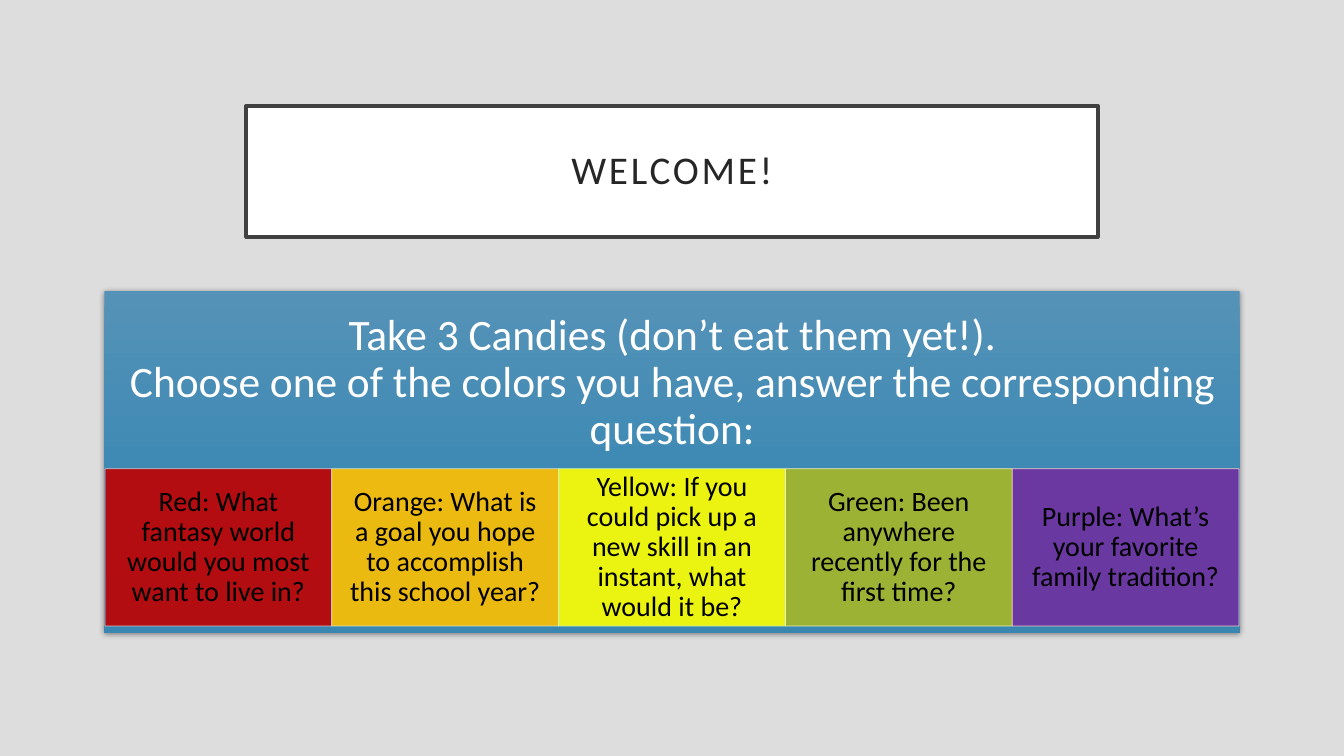
from copy import deepcopy

from lxml.etree import SubElement
from pptx import Presentation
from pptx.dml.color import RGBColor
from pptx.enum.shapes import MSO_SHAPE
from pptx.enum.text import MSO_ANCHOR, PP_ALIGN
from pptx.oxml.ns import qn
from pptx.util import Pt

TITLE = "WELCOME!"
INSTRUCTIONS = [
    "Take 3 Candies (don’t eat them yet!).",
    "Choose one of the colors you have, answer the corresponding question:",
]
# question, fill, line
QUESTIONS = [
    ("Red: What fantasy world would you most want to live in?",
     RGBColor(0xC0, 0x00, 0x00), RGBColor(0xCF, 0xDA, 0xE5)),
    ("Orange: What is a goal you hope to accomplish this school year?",
     RGBColor(0xFF, 0xC0, 0x00), RGBColor(0xCD, 0xEB, 0xE2)),
    ("Yellow: If you could pick up a new skill in an instant, what would it be?",
     RGBColor(0xFF, 0xFF, 0x00), RGBColor(0xCF, 0xF1, 0xCC)),
    ("Green: Been anywhere recently for the first time?",
     RGBColor(0xA6, 0xB7, 0x27), RGBColor(0xF1, 0xF7, 0xCB)),
    ("Purple: What’s your favorite family tradition?",
     RGBColor(0x70, 0x30, 0xA0), RGBColor(0xFB, 0xDC, 0xCC)),
]

BACKGROUND = RGBColor(0xDD, 0xDD, 0xDD)
WHITE = RGBColor(0xFF, 0xFF, 0xFF)
BLACK = RGBColor(0x00, 0x00, 0x00)
TITLE_TEXT = RGBColor(0x26, 0x26, 0x26)
TITLE_LINE = RGBColor(0x40, 0x40, 0x40)
PANEL_STOPS = [
    (0, RGBColor(0x55, 0x92, 0xB7)),
    (0.5, RGBColor(0x3F, 0x8A, 0xB5)),
    (1, RGBColor(0x39, 0x86, 0xB1)),
]

FONT = "Calibri"
SLIDE_WIDTH, SLIDE_HEIGHT = 960, 540
TITLE_TOP, TITLE_WIDTH, TITLE_HEIGHT = 75.6, 608.4, 93.6
PANEL_TOP, PANEL_WIDTH, PANEL_HEIGHT = 208, 810.8, 244
INSTRUCTIONS_HEIGHT = 131.8
CELL_TOP, CELL_WIDTH, CELL_HEIGHT = 334.8, 162, 112.4


def centered_left(width):
    return (SLIDE_WIDTH - width) / 2


def add_rectangle(slide, left, top, width, height):
    shape = slide.shapes.add_shape(
        MSO_SHAPE.RECTANGLE, Pt(left), Pt(top), Pt(width), Pt(height))
    shape.shadow.inherit = False
    return shape


def set_fill_and_line(shape, fill, line, line_width, alpha=100):
    """Apply solid colours; alpha is the opacity of both, in percent."""
    shape.fill.solid()
    shape.fill.fore_color.rgb = fill
    shape.line.color.rgb = line
    shape.line.width = Pt(line_width)
    if alpha < 100:
        for color in shape._element.spPr.iter(qn("a:srgbClr")):
            SubElement(color, qn("a:alpha"), val=str(alpha * 1000))


def set_panel_look(panel):
    """Give the panel its three-stop gradient and soft shadow."""
    panel.line.fill.background()
    panel.fill.gradient()
    panel.fill.gradient_angle = 270
    stop_list = panel._element.spPr.find(".//" + qn("a:gsLst"))
    stop_list.append(deepcopy(stop_list[-1]))
    for stop, (position, color) in zip(panel.fill.gradient_stops, PANEL_STOPS):
        stop.position = position
        stop.color.rgb = color
    effects = panel._element.spPr.find(qn("a:effectLst"))
    shadow = SubElement(effects, qn("a:outerShdw"), blurRad=str(Pt(4.4)),
                        dist=str(Pt(1.2)), dir="5400000", rotWithShape="0")
    shadow_color = SubElement(shadow, qn("a:srgbClr"), val=str(BLACK))
    SubElement(shadow_color, qn("a:alpha"), val="45000")


def write_text(shape, lines, *, size, color, inset_x, inset_y, tracking=0):
    """Write the lines as one centred paragraph, parted by line breaks."""
    frame = shape.text_frame
    frame.word_wrap = True
    frame.vertical_anchor = MSO_ANCHOR.MIDDLE
    frame.margin_left = frame.margin_right = Pt(inset_x)
    frame.margin_top = frame.margin_bottom = Pt(inset_y)
    paragraph = frame.paragraphs[0]
    paragraph.alignment = PP_ALIGN.CENTER
    paragraph.line_spacing = 0.9
    for index, line in enumerate(lines):
        if index:
            paragraph.add_line_break()
        run = paragraph.add_run()
        run.text = line
        run.font.name = FONT
        run.font.size = Pt(size)
        run.font.color.rgb = color
        if tracking:
            run.font._element.set("spc", str(tracking * 100))


def main():
    presentation = Presentation()
    presentation.slide_width = Pt(SLIDE_WIDTH)
    presentation.slide_height = Pt(SLIDE_HEIGHT)
    slide = presentation.slides.add_slide(presentation.slide_layouts[6])
    slide.background.fill.solid()
    slide.background.fill.fore_color.rgb = BACKGROUND

    title = add_rectangle(slide, centered_left(TITLE_WIDTH), TITLE_TOP,
                          TITLE_WIDTH, TITLE_HEIGHT)
    set_fill_and_line(title, WHITE, TITLE_LINE, 2.5)
    write_text(title, [TITLE], size=28, color=TITLE_TEXT,
               inset_x=14.4, inset_y=14.4, tracking=2)

    panel_left = centered_left(PANEL_WIDTH)
    panel = add_rectangle(slide, panel_left, PANEL_TOP, PANEL_WIDTH, PANEL_HEIGHT)
    set_panel_look(panel)
    instructions = slide.shapes.add_textbox(
        Pt(panel_left), Pt(PANEL_TOP), Pt(PANEL_WIDTH), Pt(INSTRUCTIONS_HEIGHT))
    write_text(instructions, INSTRUCTIONS, size=31, color=WHITE,
               inset_x=17.3, inset_y=17.3)

    cells_left = centered_left(CELL_WIDTH * len(QUESTIONS))
    for column, (question, fill, line) in enumerate(QUESTIONS):
        cell = add_rectangle(slide, cells_left + column * CELL_WIDTH, CELL_TOP,
                             CELL_WIDTH, CELL_HEIGHT)
        set_fill_and_line(cell, fill, line, 0.5, alpha=90)
        write_text(cell, [question], size=20, color=BLACK,
                   inset_x=11.5, inset_y=2)

    presentation.save("out.pptx")


if __name__ == "__main__":
    main()
